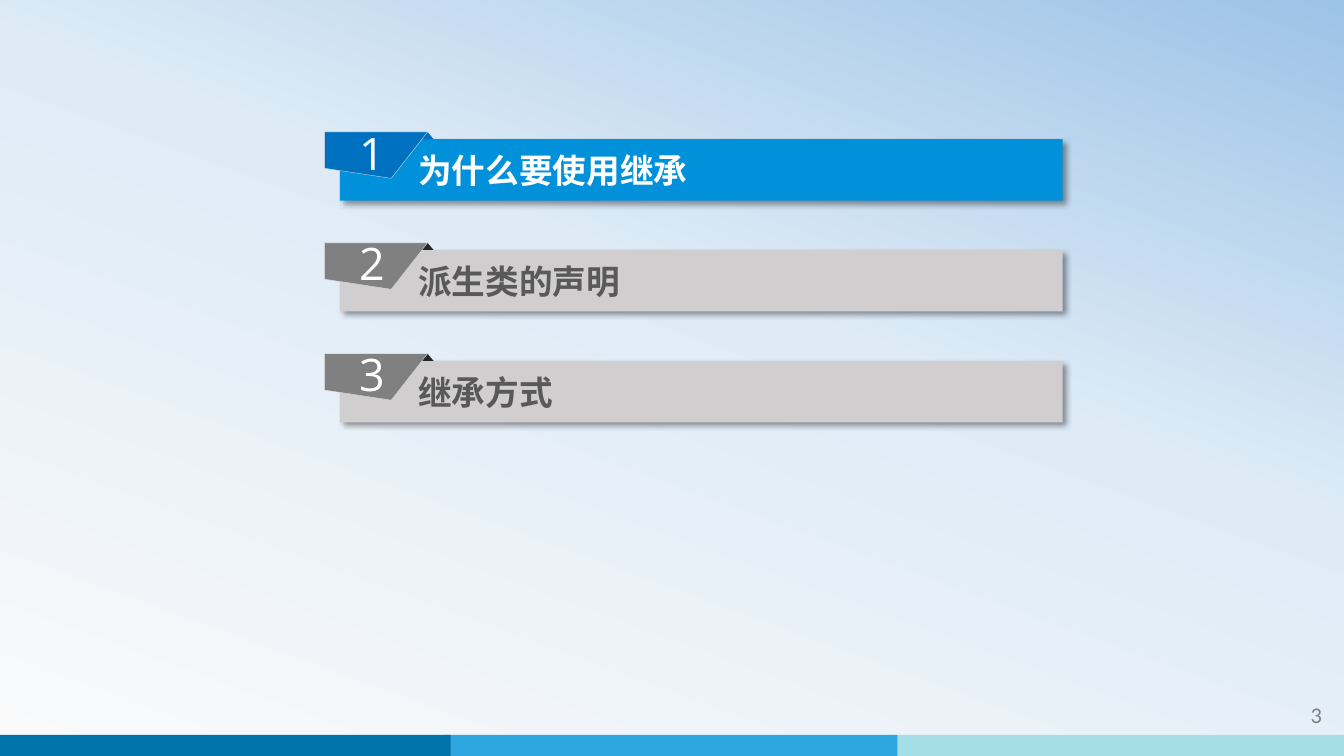
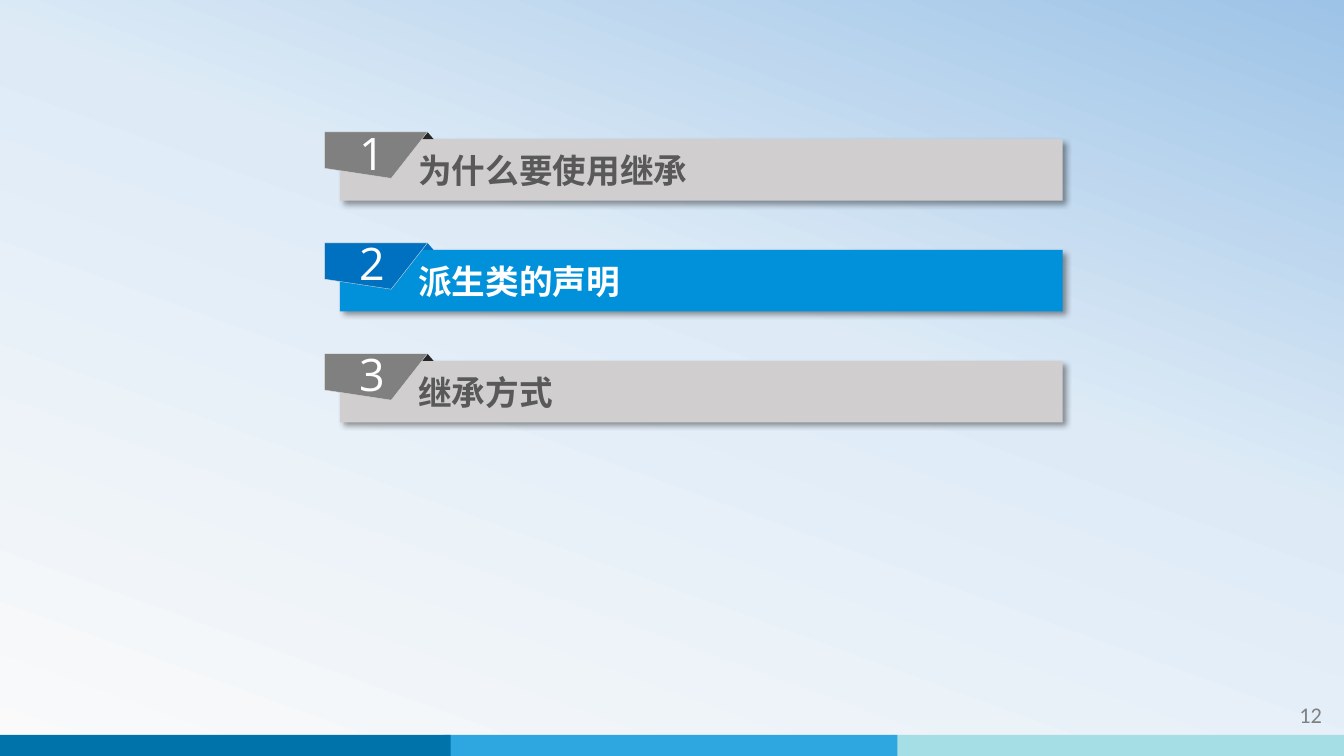
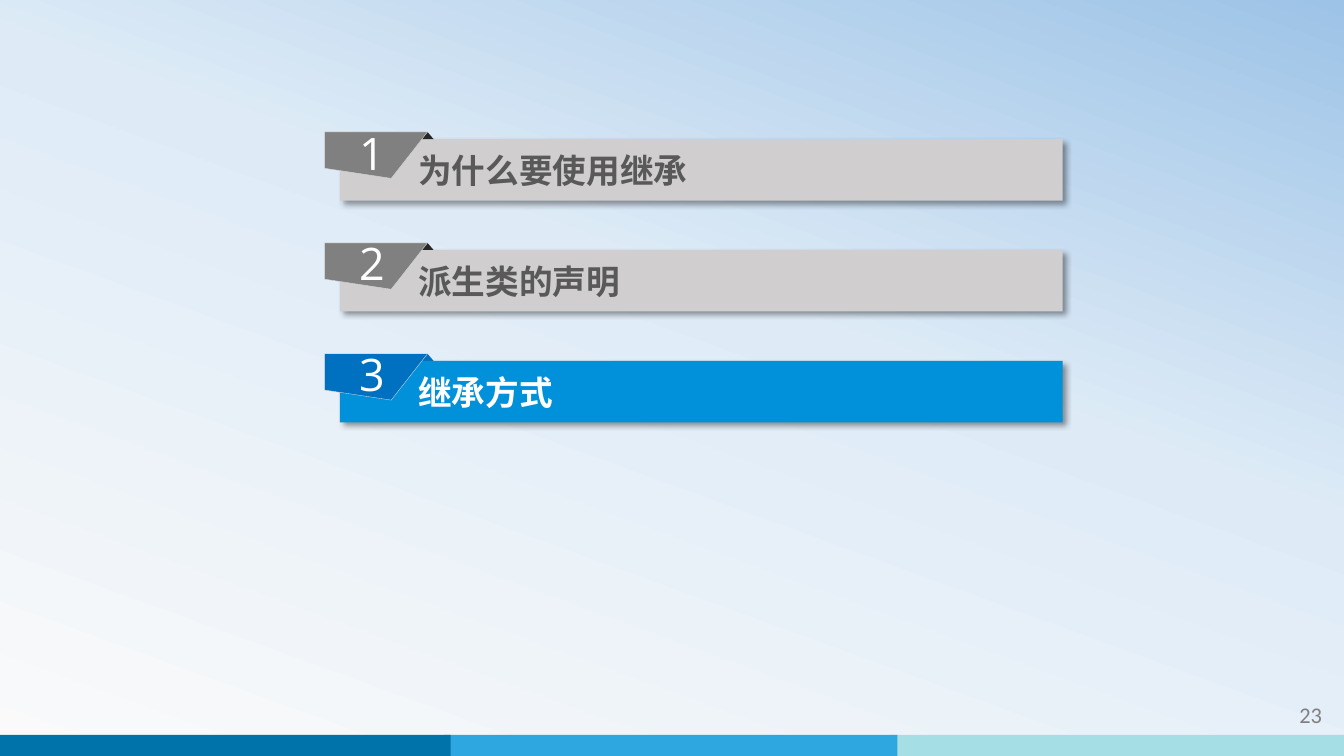
import copy

import lxml.etree
import pptx
import pptx.dml.color
import pptx.enum.shapes
import pptx.enum.text
import pptx.oxml.ns
import pptx.util

TOPICS = ["为什么要使用继承", "派生类的声明", "继承方式"]
PAGES = [3, 12, 23]  # each page highlights the next topic

HEX = {
    "white": "FFFFFF", "edge": "D9D9D9", "page": "808080",
    "dark": "0073AB", "mid": "2EA7E0", "pale": "A5DEE4",
}
ON = {"bar": "0091DA", "tab": "0070C0", "fold": "0070C0", "text": "FFFFFF"}
OFF = {"bar": "D0CECE", "tab": "808080", "fold": "262626", "text": "595959"}
STOPS = [(0, "FAFAFA"), (0.58, "DEEBF7"), (1, "9DC3E6")]
BANDS = ["dark", "mid", "pale"]

WIDE, HIGH = 13.33, 7.5
BAND, PITCH, DEEP = 4.5, 4.43, 0.21
LEFT, TOP, STEP = 3.22, 1.31, 1.1
TAB = [(0, 0), (1.02, 0), (0.66, 0.46), (0, 0.36)]

RECT = pptx.enum.shapes.MSO_SHAPE.RECTANGLE
FOLD = pptx.enum.shapes.MSO_SHAPE.ISOSCELES_TRIANGLE
ALIGN = pptx.enum.text.PP_ALIGN
MIDDLE = pptx.enum.text.MSO_ANCHOR.MIDDLE
TOPMOST = pptx.enum.text.MSO_ANCHOR.TOP
inch = pptx.util.Inches
rgb = pptx.dml.color.RGBColor.from_string

STYLES = {
    "label": {
        "font": {"name": "Noto Sans CJK SC", "size": pptx.util.Pt(24), "bold": True},
        "frame": {"margin_left": inch(0.78), "vertical_anchor": MIDDLE},
        "align": ALIGN.LEFT,
    },
    "number": {
        "font": {"name": "Open Sans", "size": pptx.util.Pt(32)},
        "frame": {"margin_left": inch(0.09), "margin_top": inch(0.04),
                  "margin_right": inch(0.17), "margin_bottom": inch(0.1),
                  "vertical_anchor": MIDDLE},
        "align": ALIGN.CENTER,
    },
    "page": {
        "font": {"name": "Calibri", "size": pptx.util.Pt(16)},
        "frame": {"vertical_anchor": TOPMOST},
        "align": ALIGN.RIGHT,
    },
}


def node(parent, tag, **attrs):
    return lxml.etree.SubElement(parent, pptx.oxml.ns.qn(tag), **attrs)


def assign(item, values):
    for key, value in values.items():
        setattr(item, key, value)


def write(shape, text, style, color):
    look = STYLES[style]
    frame = shape.text_frame
    assign(frame, {"word_wrap": True, **look["frame"]})
    para = frame.paragraphs[0]
    para.alignment = look["align"]
    run = para.add_run()
    run.text = text
    assign(run.font, look["font"])
    run.font.color.rgb = rgb(color)
    props = run.font.latin if hasattr(run.font, "latin") else run._r.get_or_add_rPr()
    node(props, "a:ea", typeface=look["font"]["name"])


def paint(shape, color):
    shape.shadow.inherit = False
    shape.fill.solid()
    shape.fill.fore_color.rgb = rgb(color)
    shape.line.fill.background()
    return shape


def block(shapes, kind, box, color):
    return paint(shapes.add_shape(kind, *map(inch, box)), color)


def cast(shape):
    """Give the shape a soft shadow to the lower right."""
    effect = shape.element.spPr.find(pptx.oxml.ns.qn("a:effectLst"))
    outer = node(effect, "a:outerShdw", blurRad="50800", dist="38100",
                 dir="2700000", algn="tl", rotWithShape="0")
    black = node(outer, "a:srgbClr", val="000000")
    node(black, "a:alpha", val="40000")


def backdrop(master):
    fill = master.background.fill
    fill.gradient()
    fill.gradient_angle = 70
    grad = master.element.find(".//" + pptx.oxml.ns.qn("a:gsLst"))
    grad.append(copy.deepcopy(grad[-1]))
    for stop, (place, color) in zip(fill.gradient_stops, STOPS):
        stop.position = place
        stop.color.rgb = rgb(color)


def footer(slide, layout):
    """Draw the colour bands and hand them to the shared layout."""
    for i, name in enumerate(reversed(BANDS)):
        box = (WIDE - BAND - i * PITCH, HIGH - DEEP, BAND, DEEP)
        band = block(slide.shapes, RECT, box, HEX[name])
        layout.shapes.element.append(band.element)


def entry(slide, index, topic, tone):
    top = TOP + index * STEP
    shapes = slide.shapes.add_group_shape().shapes
    bar = block(shapes, RECT, (LEFT + 0.15, top + 0.07, 7.17, 0.61), tone["bar"])
    cast(bar)
    write(bar, topic, "label", tone["text"])
    block(shapes, FOLD, (LEFT + 0.96, top, 0.12, 0.07), tone["fold"])
    points = [(inch(LEFT + x), inch(top + y)) for x, y in TAB]
    pen = shapes.build_freeform(*points[0])
    pen.add_line_segments(points[1:], close=True)
    tab = paint(pen.convert_to_shape(), tone["tab"])
    tab.line.color.rgb = rgb(HEX["edge"])
    tab.line.width = pptx.util.Pt(0.25)
    write(tab, str(index + 1), "number", HEX["white"])


def main():
    deck = pptx.Presentation()
    deck.slide_width, deck.slide_height = inch(WIDE), inch(HIGH)
    layout = deck.slide_layouts[6]
    backdrop(deck.slide_master)
    for active, page in enumerate(PAGES):
        slide = deck.slides.add_slide(layout)
        if active == 0:
            footer(slide, layout)
        for index, topic in enumerate(TOPICS):
            entry(slide, index, topic, ON if index == active else OFF)
        box = slide.shapes.add_textbox(*map(inch, (11.62, 6.91, 1.59, 0.4)))
        write(box, str(page), "page", HEX["page"])
    deck.save("out.pptx")


if __name__ == "__main__":
    main()
